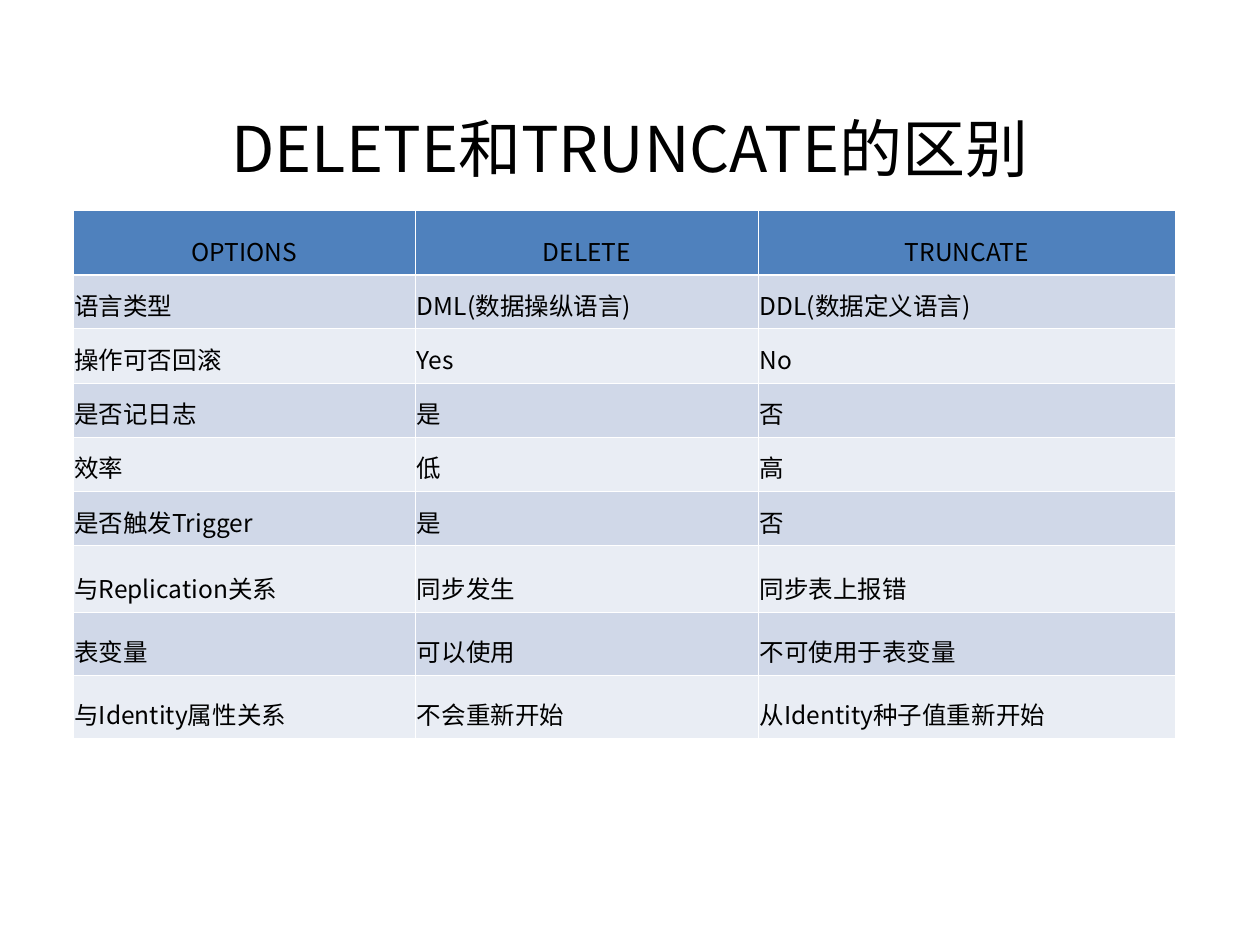
from lxml.etree import SubElement
from pptx import Presentation
from pptx.dml.color import RGBColor
from pptx.enum.text import MSO_ANCHOR, MSO_AUTO_SIZE, PP_ALIGN
from pptx.oxml.ns import qn
from pptx.util import Inches, Pt

COLORS = {
    "text": "000000",
    "header": "4F81BD",
    "odd_row": "D0D8E8",
    "even_row": "E9EDF4",
    "border": "FFFFFF",
}
FONT = "Noto Sans CJK SC"
TITLE = "DELETE和TRUNCATE的区别"
COLUMN_WIDTHS = [2.72, 2.72, 3.31]
ROW_HEIGHTS = [0.51] + [0.43] * 5 + [0.53, 0.5, 0.5]
COMPARISON = [
    ["OPTIONS", "DELETE", "TRUNCATE"],
    ["语言类型", "DML(数据操纵语言)", "DDL(数据定义语言)"],
    ["操作可否回滚", "Yes", "No"],
    ["是否记日志", "是", "否"],
    ["效率", "低", "高"],
    ["是否触发Trigger", "是", "否"],
    ["与Replication关系", "同步发生", "同步表上报错"],
    ["表变量", "可以使用", "不可使用于表变量"],
    ["与Identity属性关系", "不会重新开始", "从Identity种子值重新开始"],
]


def set_values(target, values):
    """Set each named attribute of the target."""
    for name, value in values.items():
        setattr(target, name, value)


def write_text(frame, text, size, alignment):
    """Write one formatted paragraph into a text frame."""
    para = frame.paragraphs[0]
    para.alignment = alignment
    span = para.add_run()
    span.text = text
    set_values(span.font, {"name": FONT, "size": Pt(size), "bold": False})
    span.font.color.rgb = RGBColor.from_string(COLORS["text"])
    SubElement(span.font._element, qn("a:ea"), typeface=FONT)


def add_border(cell, side, width):
    """Draw one side of a cell's border."""
    properties = cell._tc.get_or_add_tcPr()
    line = SubElement(properties, qn(f"a:ln{side}"), w=str(Pt(width)))
    fill = SubElement(line, qn("a:solidFill"))
    SubElement(fill, qn("a:srgbClr"), val=COLORS["border"])


def format_title(slide):
    """Place and fill the title placeholder."""
    title = slide.shapes.title
    set_values(title, {
        "left": Inches(0.5),
        "top": Inches(0.67),
        "width": Inches(9),
        "height": Inches(0.92),
    })
    set_values(title.text_frame, {
        "auto_size": MSO_AUTO_SIZE.NONE,
        "word_wrap": True,
        "vertical_anchor": MSO_ANCHOR.MIDDLE,
        "margin_top": Inches(0.13),
        "margin_bottom": Inches(0.05),
    })
    write_text(title.text_frame, TITLE, 36, PP_ALIGN.CENTER)


def fill_cell(cell, text, row):
    """Fill one table cell according to its row."""
    set_values(cell, {
        "vertical_anchor": MSO_ANCHOR.BOTTOM,
        "margin_left": Inches(0.01),
        "margin_right": Inches(0.01),
        "margin_top": Inches(0.05),
        "margin_bottom": Inches(0.05),
    })
    alignment = PP_ALIGN.LEFT if row else PP_ALIGN.CENTER
    write_text(cell.text_frame, text, 14, alignment)
    top_width = 1.47 if row == 1 else 0.45
    bottom_width = 1.47 if row == 0 else 0.45
    for side, width in zip("LRTB", [0.45, 0.45, top_width, bottom_width]):
        add_border(cell, side, width)
    band = "odd_row" if row % 2 else "even_row"
    cell.fill.solid()
    cell.fill.fore_color.rgb = RGBColor.from_string(COLORS[band if row else "header"])


def add_comparison_table(slide):
    """Add the table that compares both statements."""
    table = slide.shapes.add_table(
        len(ROW_HEIGHTS), len(COLUMN_WIDTHS),
        Inches(0.58), Inches(1.67),
        Inches(sum(COLUMN_WIDTHS)), Inches(sum(ROW_HEIGHTS)),
    ).table
    table.horz_banding = False
    for column, width in zip(table.columns, COLUMN_WIDTHS):
        column.width = Inches(width)
    for index, (height, texts) in enumerate(zip(ROW_HEIGHTS, COMPARISON)):
        table.rows[index].height = Inches(height)
        for cell, text in zip(table.rows[index].cells, texts):
            fill_cell(cell, text, index)


def main():
    """Build and save the deck."""
    deck = Presentation()
    set_values(deck, {"slide_width": Inches(10), "slide_height": Inches(7.5)})
    page = deck.slides.add_slide(deck.slide_layouts[5])
    format_title(page)
    add_comparison_table(page)
    deck.save("out.pptx")


if __name__ == "__main__":
    main()
